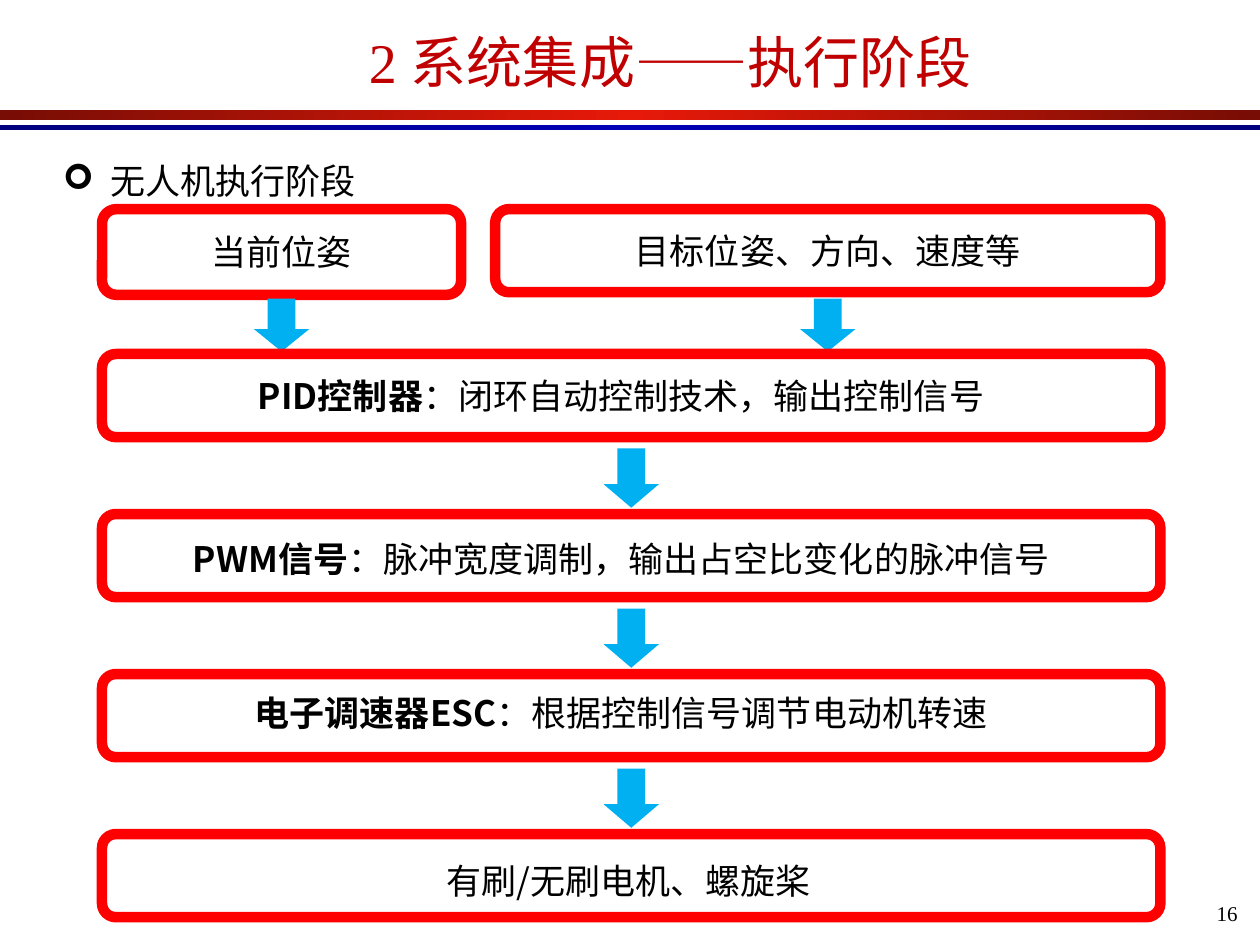
import copy

from pptx import Presentation
from pptx import util as u
from pptx.dml.color import RGBColor
from pptx.enum import shapes, text
from pptx.oxml.ns import qn

SANS, SERIF = "Noto Sans CJK SC", "Times New Roman"
BLACK, TITLE_RED, BOX_RED, ARROW_BLUE = "000000", "C00000", "FF0000", "00B0F0"

TITLE = [("2 ", SERIF, False), ("系统集成——执行阶段", SANS, False)]
HEADING = "无人机执行阶段"
PAGE = "16"
# top, height, edge colour, middle colour
RULES = [(0.87, 0.08, "770D05", "E71909"), (0.99, 0.04, "00007F", "0000B6")]

# left, width, height, label
INPUTS = [
    (0.81, 2.85, 0.68, "当前位姿"),
    (3.93, 5.28, 0.66, "目标位姿、方向、速度等"),
]
# bold term, explanation, label's centre, label's drop below the box top
STAGES = [
    ("PID控制器", "：闭环自动控制技术，输出控制信号", 4.93, 0.11),
    ("PWM信号", "：脉冲宽度调制，输出占空比变化的脉冲信号", 4.93, 0.14),
    ("电子调速器ESC", "：根据控制信号调节电动机转速", 4.93, 0.09),
    ("", "有刷/无刷电机、螺旋桨", 4.99, 0.15),
]
INPUT_TOP, STAGE_TOP, PITCH = 1.66, 2.81, 1.27
STAGE_LEFT, STAGE_WIDTH, STAGE_HEIGHT = 0.81, 8.4, 0.66
LABEL_WIDTH, LABEL_HEIGHT = 7.93, 0.44
ARROW_WIDTH = 0.44

prs = Presentation()
prs.slide_width, prs.slide_height = u.Inches(10), u.Inches(7.5)
slide = prs.slides.add_slide(prs.slide_layouts[6])


def rgb(value):
    return RGBColor.from_string(value)


def inches(*lengths):
    return [u.Inches(length) for length in lengths]


def add_text(content, *box, size=20, color=BLACK, font=SANS,
             align=text.PP_ALIGN.CENTER, anchor=text.MSO_ANCHOR.TOP):
    """Content is a string or a list of (words, font, bold); returns the paragraph."""
    frame = slide.shapes.add_textbox(*inches(*box)).text_frame
    frame.word_wrap, frame.vertical_anchor = True, anchor
    paragraph = frame.paragraphs[0]
    paragraph.alignment = align
    runs = [(content, font, False)] if isinstance(content, str) else content
    for words, face, bold in runs:
        run = paragraph.add_run()
        run.text = words
        run.font.size, run.font.bold, run.font.name = u.Pt(size), bold, face
        run.font.color.rgb = rgb(color)
        east_asian = run.font._element.makeelement(qn("a:ea"), {"typeface": face})
        run.font._element.find(qn("a:latin")).addnext(east_asian)
    return paragraph


def add_shape(kind, *box):
    shape = slide.shapes.add_shape(kind, *inches(*box))
    shape.shadow.inherit = False
    return shape


def add_rule(top, height, edge, middle):
    rule = add_shape(shapes.MSO_SHAPE.RECTANGLE, 0, top, 10, height)
    rule.line.fill.background()
    rule.fill.gradient()
    rule.fill.gradient_angle = 0
    stops = rule._element.spPr.find(qn("a:gradFill")).find(qn("a:gsLst"))
    stops.append(copy.deepcopy(stops[-1]))
    for stop, position, color in zip(rule.fill.gradient_stops, (0, 0.5, 1),
                                     (edge, middle, edge)):
        stop.position, stop.color.rgb = position, rgb(color)


def add_box(*box):
    frame = add_shape(shapes.MSO_SHAPE.ROUNDED_RECTANGLE, *box)
    frame.fill.background()
    frame.line.color.rgb, frame.line.width = rgb(BOX_RED), u.Pt(6)


def add_arrow(center, top, height):
    arrow = add_shape(shapes.MSO_SHAPE.DOWN_ARROW, center - ARROW_WIDTH / 2, top,
                      ARROW_WIDTH, height)
    arrow.adjustments[0], arrow.adjustments[1] = 0.5, 0.425
    arrow.fill.solid()
    arrow.fill.fore_color.rgb = rgb(ARROW_BLUE)
    arrow.line.fill.background()


def add_bullet(paragraph, mark, indent):
    props = paragraph._p.get_or_add_pPr()
    props.set("marL", str(u.Inches(indent)))
    props.set("indent", str(-u.Inches(indent)))
    for tag, key, value in (("a:buFont", "typeface", "Wingdings"),
                            ("a:buChar", "char", mark)):
        props.append(props.makeelement(qn(tag), {key: value}))


for rule in RULES:
    add_rule(*rule)
add_text(TITLE, 1.03, 0.07, 8.58, 0.83, size=32, color=TITLE_RED,
         anchor=text.MSO_ANCHOR.MIDDLE)
add_text(PAGE, 9.34, 7.1, 0.58, 0.33, size=12, font=SERIF,
         align=text.PP_ALIGN.RIGHT)
heading = add_text(HEADING, 0.4, 1.22, 9.11, 0.44, align=text.PP_ALIGN.LEFT)
heading.space_after = u.Pt(12)
add_bullet(heading, "➢", 0.38)

for left, width, height, label in INPUTS:
    add_box(left, INPUT_TOP, width, height)
    add_text(label, left, INPUT_TOP + (height - LABEL_HEIGHT) / 2, width, LABEL_HEIGHT)
    add_arrow(left + width / 2, 2.37, 0.42)

for row, (term, explanation, center, drop) in enumerate(STAGES):
    top = STAGE_TOP + row * PITCH
    add_box(STAGE_LEFT, top, STAGE_WIDTH, STAGE_HEIGHT)
    runs = [(term, SANS, True)] if term else []
    add_text(runs + [(explanation, SANS, False)], center - LABEL_WIDTH / 2, top + drop,
             LABEL_WIDTH, LABEL_HEIGHT)
    if row < len(STAGES) - 1:
        add_arrow(STAGE_LEFT + STAGE_WIDTH / 2, top + 0.75, 0.47)

prs.save("out.pptx")
